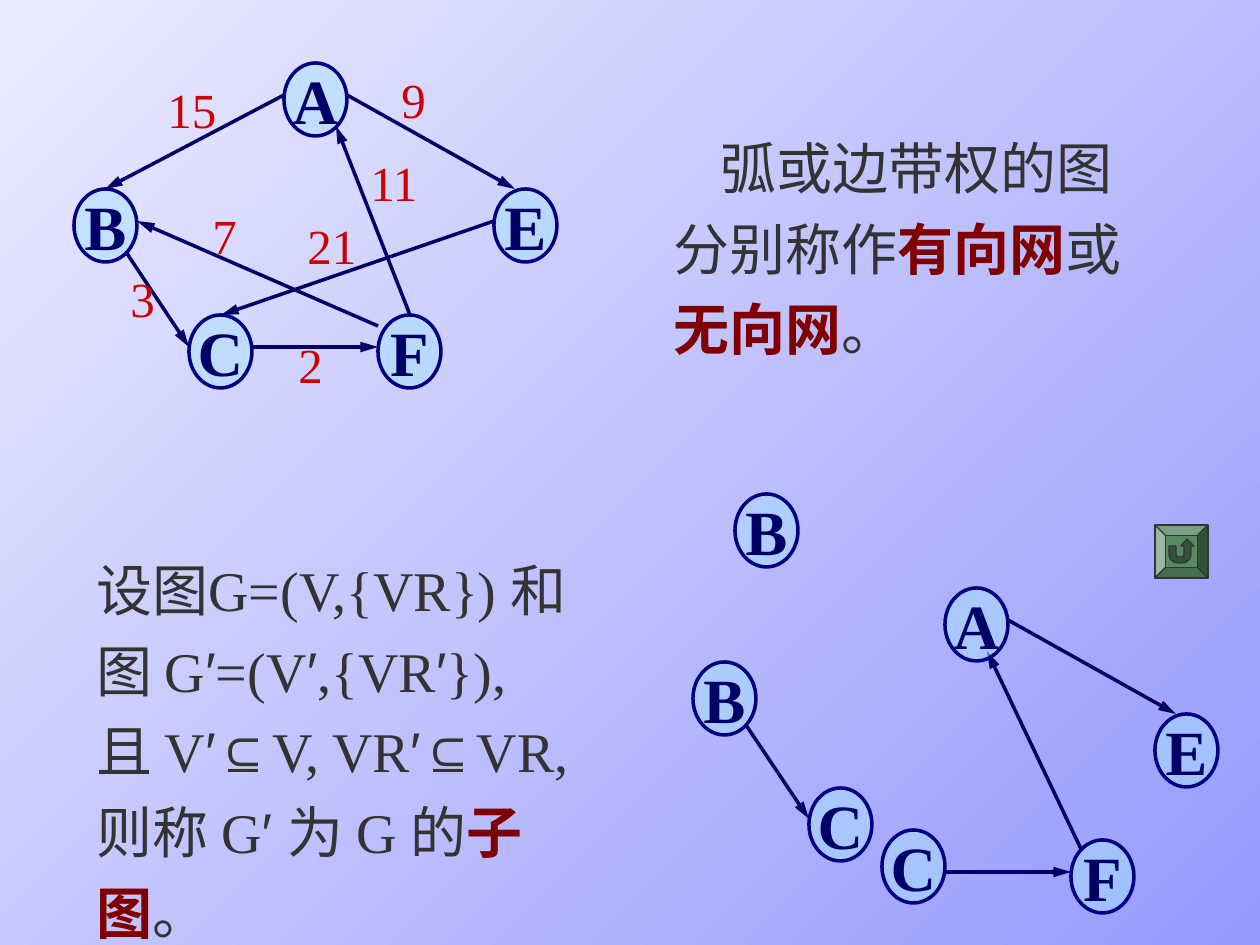
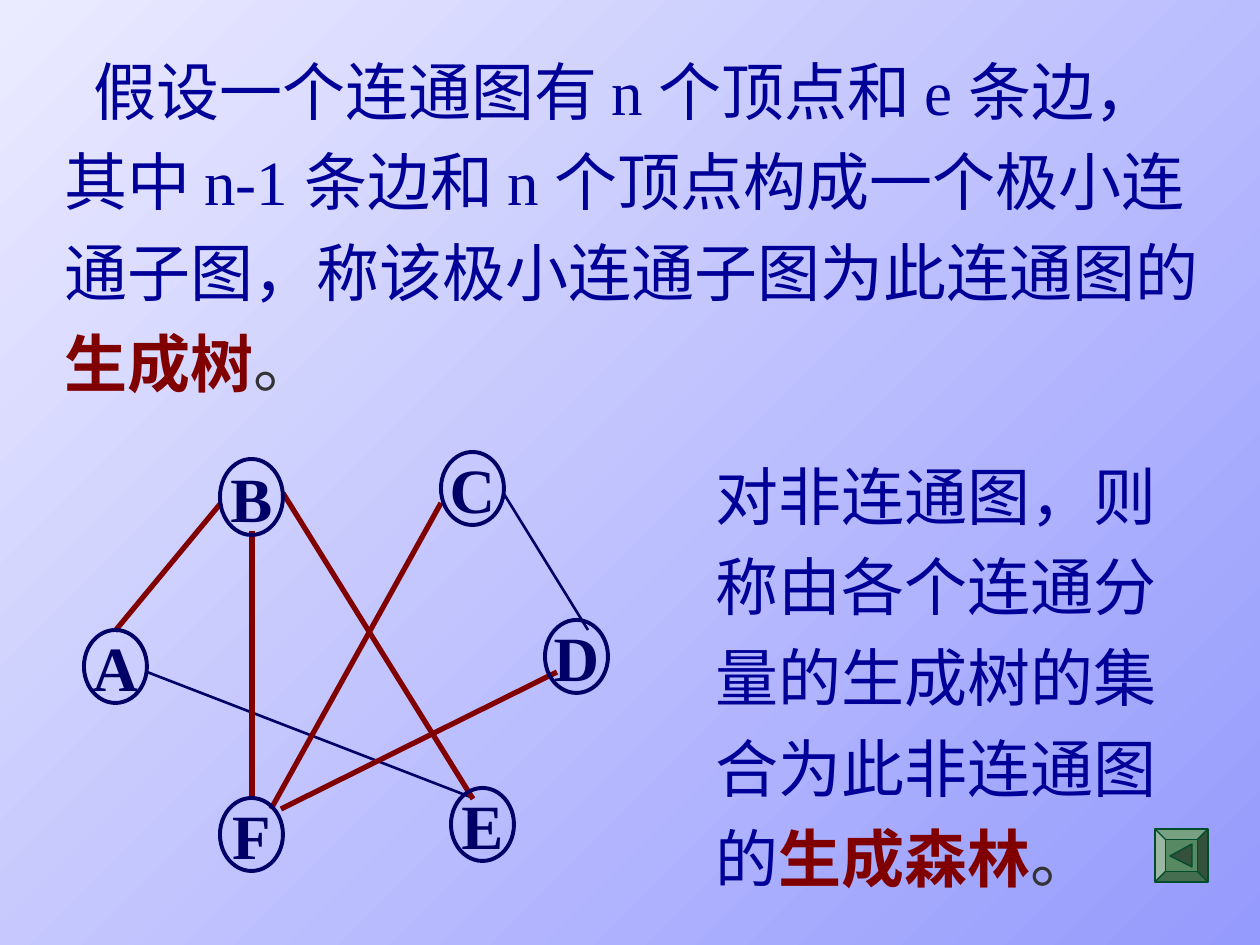
import math

import lxml.etree
import pptx
import pptx.dml.color
import pptx.enum.shapes
import pptx.enum.text
import pptx.oxml.ns
import pptx.util

SCALE = 914400 / 126
SERIF = "Times New Roman"
SANS = "Noto Sans CJK SC"
NAVY = "000066"
GRAY = "333333"
BLUE = "000099"
MAROON = "800000"
RED = "CC0000"
NODE_FILL = "A7E2FF"
NODE_LINE = "000080"
GREEN = "578963"
DARK_GREEN = "34523B"
TERM = {"color": MAROON, "bold": True}
STOP = {"color": GRAY}
SYMBOL = {"font": "Arial"}
LATIN = {"font": SERIF}
LEFT = pptx.enum.text.PP_ALIGN.LEFT
CENTER = pptx.enum.text.PP_ALIGN.CENTER
SHAPE = pptx.enum.shapes.MSO_SHAPE


def px(n):
    """Turn px into EMU."""
    return pptx.util.Emu(round(n * SCALE))


def rgb(value):
    """Turn a hex string into a colour."""
    return pptx.dml.color.RGBColor.from_string(value)


def add_xml(parent, tag, **attrs):
    """Append a DrawingML child element."""
    name = pptx.oxml.ns.qn(tag)
    return lxml.etree.SubElement(parent, name, **attrs)


def write_text(tf, paragraphs, size=32, font=SERIF, color=GRAY, bold=False,
               align=LEFT, spacing=None, indent=0):
    """Write paragraphs, each a list of (text, format changes) runs."""
    for i, runs in enumerate(paragraphs):
        p = tf.paragraphs[0] if i == 0 else tf.add_paragraph()
        p.alignment = align
        if spacing:
            p.line_spacing = spacing
        p_pr = p._p.get_or_add_pPr()
        p_pr.set("hangingPunct", "0")
        if indent:
            p_pr.set("indent", str(px(indent)))
        for text, changes in runs:
            style = {"font": font, "color": color, "bold": bold, **changes}
            r = p.add_run()
            r.text = text
            r.font.size = pptx.util.Pt(size)
            r.font.name = style["font"]
            r.font.bold = style["bold"]
            r.font.color.rgb = rgb(style["color"])
            add_xml(r._r.get_or_add_rPr(), "a:ea", typeface=SANS)


def add_text(slide, box, paragraphs, wrap=True, top=6, **style):
    """Add a text box that grows with its text."""
    tf = slide.shapes.add_textbox(*map(px, box)).text_frame
    tf.word_wrap = wrap
    tf.margin_top = px(top)
    tf.auto_size = pptx.enum.text.MSO_AUTO_SIZE.SHAPE_TO_FIT_TEXT
    write_text(tf, paragraphs, **style)


def add_weight(slide, text, x, y):
    """Add the red weight of an edge."""
    box = (x, y, 24 + 25 * len(text), 72)
    add_text(slide, box, [[(text, {})]], wrap=False, size=28, color=RED)


def paint(sp, fill, line, width):
    """Set the fill and outline of a shape and drop its shadow."""
    sp.shadow.inherit = False
    if fill:
        sp.fill.solid()
        sp.fill.fore_color.rgb = rgb(fill)
    else:
        sp.fill.background()
    sp.line.color.rgb = rgb(line)
    sp.line.width = pptx.util.Pt(width)


def add_node(slide, name, x, y, h=73, fill=None, line=NAVY, width=2.25):
    """Add a lettered vertex, half transparent when filled."""
    sp = slide.shapes.add_shape(SHAPE.OVAL, px(x), px(y), px(63), px(h))
    paint(sp, fill, line, width)
    for color in sp._element.spPr.findall("a:solidFill/a:srgbClr",
                                          pptx.oxml.ns._nsmap):
        add_xml(color, "a:alpha", val="50000")
    tf = sp.text_frame
    tf.word_wrap = False
    tf.vertical_anchor = pptx.enum.text.MSO_ANCHOR.MIDDLE
    write_text(tf, [[(name, {})]], size=36, color=NAVY, bold=True,
               align=CENTER)


def add_edge(slide, x1, y1, x2, y2, color=NAVY, width=2, arrow=False):
    """Add a straight edge, with an arrowhead at its end if directed."""
    line = slide.shapes.add_connector(
        pptx.enum.shapes.MSO_CONNECTOR.STRAIGHT, *map(px, (x1, y1, x2, y2)))
    line.line.color.rgb = rgb(color)
    line.line.width = pptx.util.Pt(width)
    if arrow:
        add_xml(line.line._get_or_add_ln(), "a:tailEnd", type="triangle",
                w="med", len="lg")
    add_xml(line._element.spPr, "a:effectLst")


def arc(cx, cy, radius, start, end):
    """Return points along an arc, with angles in degrees."""
    angles = [math.radians(start + (end - start) * i / 6) for i in range(7)]
    return [(cx + radius * math.cos(a), cy + radius * math.sin(a))
            for a in angles]


def add_button(slide, x, y, icon, line):
    """Add a bevelled button with an icon drawn from points inside it."""
    sp = slide.shapes.add_shape(SHAPE.BEVEL, px(x), px(y), px(53), px(53))
    sp.adjustments[0] = 0.2
    paint(sp, GREEN, line, 0.75)
    points = [(px(x + dx), px(y + dy)) for dx, dy in icon]
    builder = slide.shapes.build_freeform(*points[0])
    builder.add_line_segments(points[1:], close=True)
    paint(builder.convert_to_shape(), DARK_GREEN, line, 0.75)


def add_slide(prs):
    """Add a blank slide with the diagonal lilac gradient."""
    slide = prs.slides.add_slide(prs.slide_layouts[6])
    fill = slide.background.fill
    fill.gradient()
    fill.gradient_angle = 135
    for stop, color in zip(fill.gradient_stops, ("959AFD", "EBEBFF")):
        stop.color.rgb = rgb(color)
    return slide


def build_networks(prs):
    """Build the slide on weighted graphs and subgraphs."""
    slide = add_slide(prs)
    arcs = [
        (284, 95, 105, 189), (126, 252, 189, 347), (252, 347, 378, 347),
        (410, 315, 336, 126), (347, 95, 515, 189), (378, 326, 137, 221),
        (494, 221, 221, 315), (945, 872, 1071, 872), (1082, 851, 987, 651),
        (1008, 620, 1176, 714), (746, 725, 809, 819),
    ]
    for ends in arcs:
        add_edge(slide, *ends, arrow=True)
    nodes = [
        ("A", 284, 63), ("B", 74, 189), ("E", 494, 189), ("C", 189, 315),
        ("F", 378, 315), ("A", 945, 588), ("E", 1155, 714),
        ("F", 1071, 840), ("B", 735, 494), ("B", 693, 662),
        ("C", 809, 788), ("C", 882, 830),
    ]
    for node in nodes:
        add_node(slide, *node, fill=NODE_FILL, line=NODE_LINE, width=2)
    add_text(slide, (84, 536, 546, 416), [
        [("设图G=(V,{VR}) 和图 G", {}), ("′", SYMBOL), ("=(V", {}),
         ("′", SYMBOL), (",{VR", {}), ("′", SYMBOL), ("}),", {})],
        [("且 V", {}), ("′⊆", SYMBOL), ("V, VR", {}), ("′⊆", SYMBOL),
         ("VR,", {})],
        [("则称 G", {}), ("′ ", SYMBOL), ("为 G 的", {}), ("子图", TERM),
         ("。", {})],
    ], spacing=1.2)
    weights = [("15", 155, 73), ("9", 389, 63), ("7", 200, 199),
               ("21", 295, 210), ("11", 358, 147), ("3", 118, 262),
               ("2", 286, 328)]
    for weight in weights:
        add_weight(slide, *weight)
    add_text(slide, (661, 95, 504, 275), [
        [("弧或边带权的图分别称作", {}), ("有向网", TERM), ("或", {}),
         ("无向网", TERM), ("。", {})],
    ], top=25, spacing=1.2, indent=47)
    return_icon = [
        (14, 21), (21, 21), *arc(24, 29, 3, 180, 90),
        *arc(26, 29, 3, 90, 0), (29, 21), (26, 21), (32, 14), (39, 21),
        (36, 21), *arc(27, 29, 9, 0, 90), *arc(23, 29, 9, 90, 180),
    ]
    add_button(slide, 1155, 525, return_icon, GRAY)


def build_spanning_trees(prs):
    """Build the slide on spanning trees and forests."""
    slide = add_slide(prs)
    add_text(slide, (52, 31, 1176, 375), [
        [("假设一个连通图有 ", {}), ("n ", LATIN), ("个顶点和 ", {}),
         ("e ", LATIN), ("条边，其中 ", {}), ("n-1 ", LATIN),
         ("条边和 ", {}), ("n ", LATIN),
         ("个顶点构成一个极小连通子图，称该极小连通子图为此连通图的", {}),
         ("生成树", TERM), ("。", STOP)],
    ], size=36, font=SANS, color=BLUE, spacing=1.2, indent=29)
    add_text(slide, (703, 436, 525, 466), [
        [("对非连通图，则称由各个连通分量的生成树的集合为此非连通图的", {}),
         ("生成森林", TERM), ("。", STOP)],
    ], size=36, color=BLUE, spacing=1.2)
    for ends in [(147, 672, 473, 798), (504, 494, 588, 630)]:
        add_edge(slide, *ends, width=1.5)
    tree_edges = [
        (221, 503, 115, 631), (283, 493, 473, 799), (441, 503, 271, 809),
        (557, 672, 281, 809), (252, 531, 252, 799),
    ]
    for ends in tree_edges:
        add_edge(slide, *ends, color=MAROON, width=3)
    nodes = [("B", 220, 459, 76), ("A", 84, 630), ("C", 441, 452),
             ("D", 545, 620), ("F", 220, 798), ("E", 451, 788)]
    for node in nodes:
        add_node(slide, *node)
    add_button(slide, 1155, 829, [(15, 27), (37, 15), (37, 38)], "004C2B")


def main():
    """Build both slides and save them."""
    prs = pptx.Presentation()
    prs.slide_width, prs.slide_height = px(1260), px(945)
    build_networks(prs)
    build_spanning_trees(prs)
    prs.save("out.pptx")


if __name__ == "__main__":
    main()
